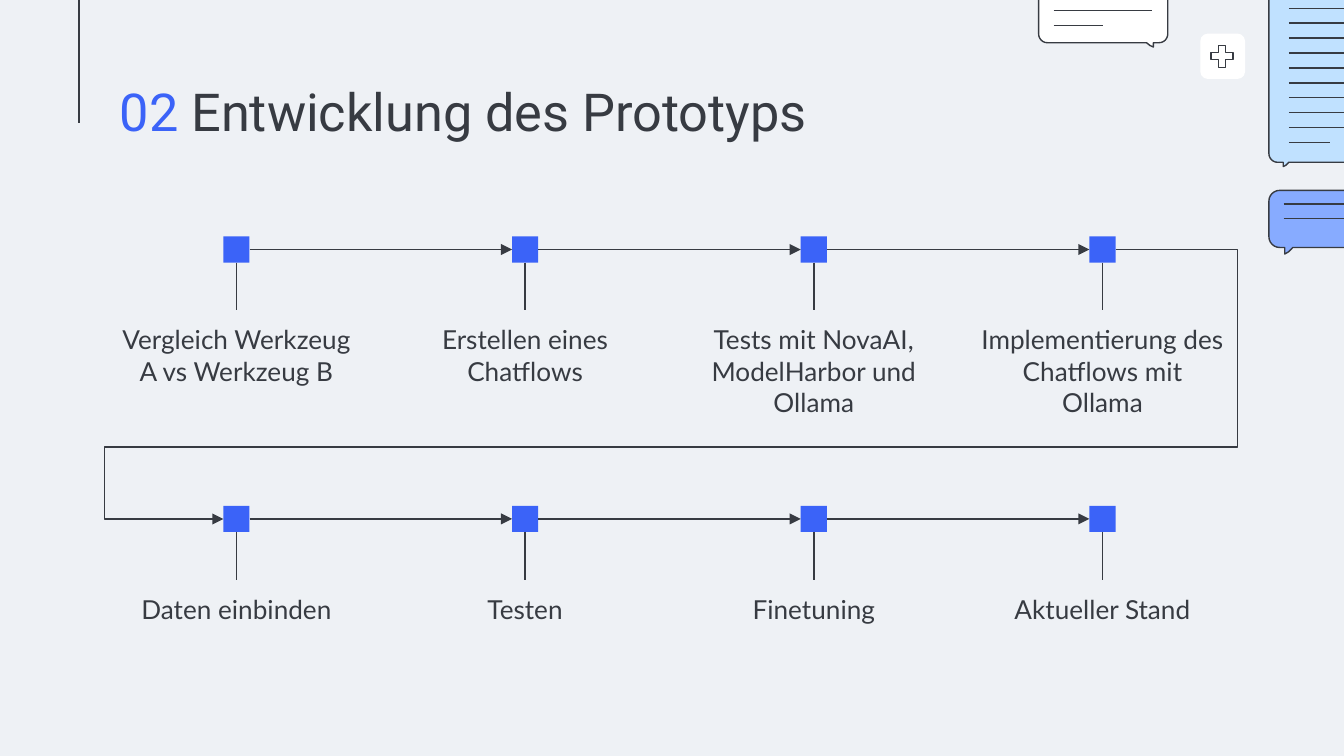
import math

import pptx
import pptx.dml.color
import pptx.enum.shapes
import pptx.enum.text
import pptx.oxml
import pptx.oxml.ns
import pptx.util

Pt = pptx.util.Pt
SHAPE = pptx.enum.shapes.MSO_SHAPE
CONNECTOR = pptx.enum.shapes.MSO_CONNECTOR
ALIGN = pptx.enum.text.PP_ALIGN
ANCHOR = pptx.enum.text.MSO_ANCHOR

INK, BLUE, WHITE, PAPER = "373B42", "3B63F8", "FFFFFF", "EEF1F5"

TITLE = [("02 ", BLUE), ("Entwicklung des Prototyps", INK)]
STEPS = [
    ["Vergleich Werkzeug A vs Werkzeug B", "Erstellen eines Chatflows",
     "Tests mit NovaAI, ModelHarbor und Ollama",
     "Implementierung des Chatflows mit Ollama"],
    ["Daten einbinden", "Testen", "Finetuning", "Aktueller Stand"],
]
BUBBLES = [
    dict(box=(556.4, -11.5, 69.2, 34.4), radius=4.7, tip=(617.9, 2.3), slope=614.2,
         fill=WHITE, first=5.8, rules=[(564.5, 617), (564.5, 591)]),
    dict(box=(679.8, -23.8, 69, 110.8), radius=4.7, tip=(687.5, 2.3), slope=690.5,
         fill="C0E1FF", first=4.4, rules=[(690.5, 738.7)] * 9 + [(690.5, 712.3)]),
    dict(box=(679.8, 102, 86.4, 30.6), radius=5.8, tip=(688.3, 3.5), slope=692.6,
         fill="87ABFF", first=109.2, rules=[(687.7, 756.7)] * 2),
]
RULE_GAP = 8
FIRST_X, STEP_X = 126.7, 154.65
FIRST_Y, STEP_Y = 133.7, 144.3
MARKER, STEM = 14, 32.5
LABEL_W, LABEL_H = 144, 63.4
RETURN_BENDS = (-13700, 73300, 113300)


def color(target, value):
    target.rgb = pptx.dml.color.RGBColor.from_string(value)


def paint(shape, fill, line=None):
    shape.shadow.inherit = False
    shape.fill.solid()
    color(shape.fill.fore_color, fill)
    if line:
        color(shape.line.color, line)
        shape.line.width = Pt(0.75)
    else:
        shape.line.fill.background()


def child(parent, tag, **attributes):
    element = pptx.oxml.parse_xml(f"<{tag} {pptx.oxml.ns.nsdecls('a')}/>")
    for key, value in attributes.items():
        element.set(key, value)
    parent.append(element)


def connect(x1, y1, x2, y2, arrow=False, kind=CONNECTOR.STRAIGHT):
    line = slide.shapes.add_connector(kind, Pt(x1), Pt(y1), Pt(x2), Pt(y2))
    color(line.line.color, INK)
    line.line.width = Pt(0.75)
    if arrow:
        child(line.line._get_or_add_ln(), "a:tailEnd", type="triangle")
    child(line._element.spPr, "a:effectLst")
    return line


def link(start, start_side, end, end_side, kind=CONNECTOR.STRAIGHT, arrow=True):
    line = connect(0, 0, 1, 1, arrow, kind)
    line.begin_connect(start, start_side)
    line.end_connect(end, end_side)
    return line


def add_shape(kind, x, y, w, h, fill, line=None):
    shape = slide.shapes.add_shape(kind, Pt(x), Pt(y), Pt(w), Pt(h))
    paint(shape, fill, line)
    return shape


def corner(x, y, radius, start):
    angles = [math.radians(start + 15 * i) for i in range(7)]
    return [(x + radius * math.cos(a), y + radius * math.sin(a)) for a in angles]


def add_bubble(box, radius, tip, slope, fill, first, rules):
    x, y, w, h = box
    right, bottom = x + w, y + h
    tip_x, depth = tip
    tail = [(slope, bottom), ((slope + tip_x) / 2, bottom + 0.65 * depth),
            (tip_x, bottom + depth), (tip_x, bottom)]
    if tip_x > slope:
        tail.reverse()
    outline = (corner(x + radius, y + radius, radius, 180)
               + corner(right - radius, y + radius, radius, 270)
               + corner(right - radius, bottom - radius, radius, 0)
               + tail
               + corner(x + radius, bottom - radius, radius, 90))
    points = [(Pt(px), Pt(py)) for px, py in outline]
    builder = slide.shapes.build_freeform(*points[0])
    builder.add_line_segments(points[1:], close=True)
    paint(builder.convert_to_shape(), fill, INK)
    for i, (start, end) in enumerate(rules):
        connect(start, first + i * RULE_GAP, end, first + i * RULE_GAP)


def add_label(text, center, top):
    label = slide.shapes.add_textbox(Pt(center - LABEL_W / 2), Pt(top),
                                     Pt(LABEL_W), Pt(LABEL_H))
    set_frame(label.text_frame)
    paragraph = label.text_frame.paragraphs[0]
    paragraph.text = text
    paragraph.alignment = ALIGN.CENTER
    paragraph.font.name, paragraph.font.size = "Lato", Pt(14)
    color(paragraph.font.color, INK)
    return label


def set_frame(frame):
    frame.word_wrap = True
    frame.auto_size = pptx.enum.text.MSO_AUTO_SIZE.NONE
    frame.vertical_anchor = ANCHOR.TOP
    frame.margin_left = frame.margin_right = Pt(7.2)
    frame.margin_top = frame.margin_bottom = Pt(7.2)


deck = pptx.Presentation()
deck.slide_width, deck.slide_height = Pt(720), Pt(405)
slide = deck.slides.add_slide(deck.slide_layouts[5])
slide.background.fill.solid()
color(slide.background.fill.fore_color, PAPER)

connect(42.4, -17, 42.4, 66)
add_shape(SHAPE.ROUNDED_RECTANGLE, 643, 18, 24, 24.3, WHITE)
plus = add_shape(SHAPE.MATH_PLUS, 646.7, 22.2, 16, 16, WHITE, INK)
plus.adjustments[0] = 0.235
for bubble in BUBBLES:
    add_bubble(**bubble)

title = slide.shapes.title
title.left, title.top, title.width, title.height = Pt(57), Pt(35.3), Pt(607), Pt(45.4)
set_frame(title.text_frame)
heading = title.text_frame.paragraphs[0]
heading.alignment = ALIGN.LEFT
for text, tint in TITLE:
    run = heading.add_run()
    run.text = text
    color(run.font.color, tint)
heading.font.name, heading.font.size = "Roboto", Pt(28)

rows = []
for r, texts in enumerate(STEPS):
    y = FIRST_Y + r * STEP_Y
    markers = []
    for c, text in enumerate(texts):
        x = FIRST_X + c * STEP_X
        marker = add_shape(SHAPE.RECTANGLE, x - MARKER / 2, y - MARKER / 2,
                           MARKER, MARKER, BLUE)
        link(marker, 2, add_label(text, x, y + STEM), 0, arrow=False)
        if markers:
            link(markers[-1], 3, marker, 1)
        markers.append(marker)
    rows.append(markers)

row_return = link(rows[0][-1], 3, rows[1][0], 1, CONNECTOR.ELBOW)
geometry = row_return._element.spPr.prstGeom
geometry.set("prst", "bentConnector5")
for i, bend in enumerate(RETURN_BENDS, 1):
    child(geometry.get_or_add_avLst(), "a:gd", name=f"adj{i}", fmla=f"val {bend}")

deck.save("out.pptx")
